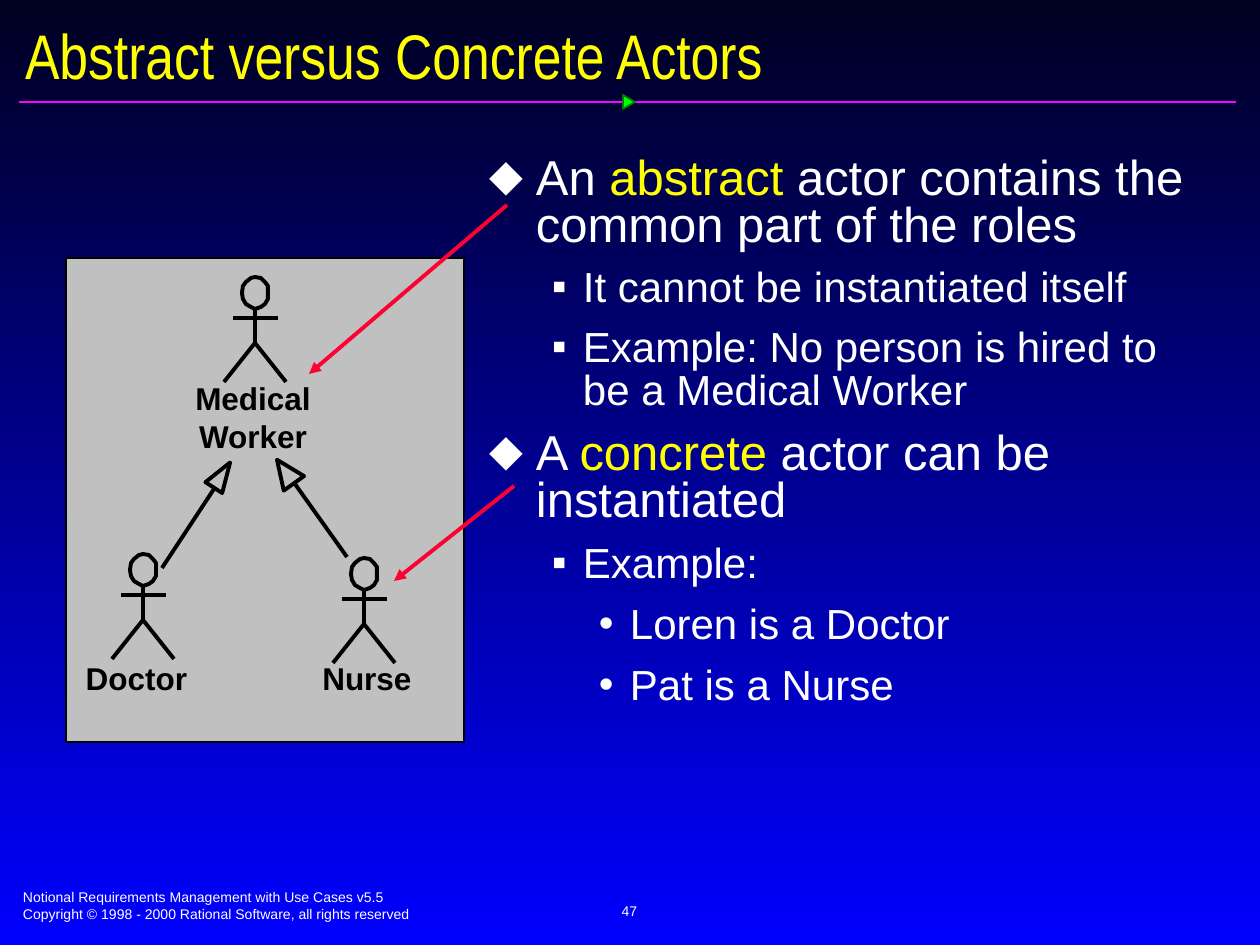
from lxml import etree
from pptx import Presentation
from pptx.dml.color import RGBColor
from pptx.enum.shapes import MSO_CONNECTOR, MSO_SHAPE
from pptx.enum.text import MSO_ANCHOR, MSO_AUTO_SIZE, PP_ALIGN
from pptx.oxml.ns import qn
from pptx.util import Emu, Pt

STRAIGHT = MSO_CONNECTOR.STRAIGHT
RECTANGLE, TRIANGLE = MSO_SHAPE.RECTANGLE, MSO_SHAPE.ISOSCELES_TRIANGLE
LEFT, CENTER = PP_ALIGN.LEFT, PP_ALIGN.CENTER
TOP, MIDDLE = MSO_ANCHOR.TOP, MSO_ANCHOR.MIDDLE

EMU_PER_PX = 914400 / 126
COLORS = {
    "night": "000021", "blue": "0000FF", "white": "FFFFFF", "yellow": "FFFF00",
    "magenta": "FF01FF", "green": "00FF00", "dark green": "037C03",
    "gray": "C0C0C0", "black": "000000", "red": "FF0033",
}

TITLE = "Abstract versus Concrete Actors"
FOOTER = ["Notional Requirements Management with Use Cases v5.5",
          "Copyright © 1998 - 2000 Rational Software, all rights reserved"]
PAGE_NUMBER = ["47"]

# level, runs of (text, color)
BODY = [
    (0, [("An ", "white"), ("abstract", "yellow"),
         (" actor contains the common part of the roles", "white")]),
    (1, [("It cannot be instantiated itself", "white")]),
    (1, [("Example: No person is hired to be a Medical Worker", "white")]),
    (0, [("A ", "white"), ("concrete", "yellow"),
         (" actor can be instantiated", "white")]),
    (1, [("Example:", "white")]),
    (2, [("Loren is a Doctor", "white")]),
    (2, [("Pat is a Nurse", "white")]),
]
# bullet, size, left margin and hanging indent in px, line spacing, space before
LEVELS = [("⬥", 28, 47, 47, 0.8, 10.5),
          ("▪", 24, 94, 31, 0.87, 9),
          ("•", 24, 141, 31, 1.0, 6)]

# label lines, label box, center x and top y of the stick figure
ACTORS = [(["Doctor"], (71, 652, 131, 53), 143, 554),
          (["Nurse"], (280, 652, 174, 53), 364, 558),
          (["Medical", "Worker"], (180, 372, 146, 91), 255, 277)]
HEAD = [(0, 0), (6, 1), (10, 5), (13, 9), (13, 16), (13, 22), (10, 27), (6, 30),
        (0, 32), (-4, 30), (-9, 27), (-12, 22), (-13, 16), (-12, 9), (-9, 5), (-4, 1)]
LEGS = [(-31, 105), (0, 66), (31, 105)]
LIMBS = [(-22, 41, 23, 41), (0, 33, 0, 66)]

# line, arrowhead box, arrowhead rotation
GENERALIZATIONS = [((295, 484, 347, 557), (273, 457, 25, 29), 324.4),
                   ((214, 489, 162, 568), (212, 460, 20, 30), 33)]
POINTERS = [(507, 205, 309, 374), (514, 486, 394, 581)]


def px(value):
    return Emu(round(value * EMU_PER_PX))


def color(name):
    return RGBColor.from_string(COLORS[name])


def place(shape, box):
    shape.left, shape.top, shape.width, shape.height = map(px, box)


def add_line(shapes, ends, line_color, width):
    line = shapes.add_connector(STRAIGHT, *map(px, ends))
    line.line.color.rgb = color(line_color)
    line.line.width = Pt(width)
    etree.SubElement(line._element.spPr, qn("a:effectLst"))
    return line


def style(shape, fill, line_color, width):
    shape.shadow.inherit = False
    if fill:
        shape.fill.solid()
        shape.fill.fore_color.rgb = color(fill)
    else:
        shape.fill.background()
    shape.line.color.rgb = color(line_color)
    shape.line.width = Pt(width)


def add_preset(shapes, preset, box, fill, line_color, width, rotation=0):
    shape = shapes.add_shape(preset, *map(px, box))
    shape.rotation = rotation
    style(shape, fill, line_color, width)


def add_outline(shapes, points, x, y, close):
    points = [(x + dx, y + dy) for dx, dy in points]
    builder = shapes.build_freeform(*points[0], scale=EMU_PER_PX)
    builder.add_line_segments(points[1:], close=close)
    style(builder.convert_to_shape(), None, "black", 2.25)


def set_frame(frame, margin, anchor, wrap=True):
    frame.margin_left = frame.margin_right = px(margin)
    frame.margin_top = frame.margin_bottom = px(margin / 2)
    frame.vertical_anchor = anchor
    frame.word_wrap = wrap
    frame.auto_size = MSO_AUTO_SIZE.NONE


def set_font(font, name, size, font_color, bold=False):
    font.name, font.size, font.bold = name, Pt(size), bold
    font.color.rgb = color(font_color)


def add_text(shapes, box, lines, size, font_color, margin,
             align=LEFT, anchor=TOP, wrap=True, bold=False):
    frame = shapes.add_textbox(*map(px, box)).text_frame
    set_frame(frame, margin, anchor, wrap)
    frame.text = "\n".join(lines)
    for paragraph in frame.paragraphs:
        paragraph.alignment = align
        set_font(paragraph.font, "Arial", size, font_color, bold)


def set_bullet(paragraph, character, margin, indent):
    properties = paragraph._p.get_or_add_pPr()
    properties.set("marL", str(px(margin)))
    properties.set("indent", str(-px(indent)))
    bullet_color = etree.SubElement(properties, qn("a:buClr"))
    etree.SubElement(bullet_color, qn("a:srgbClr"), val=COLORS["white"])
    etree.SubElement(properties, qn("a:buFont"), typeface="Arial")
    etree.SubElement(properties, qn("a:buChar"), char=character)


def fill_body(frame):
    for index, (level, runs) in enumerate(BODY):
        bullet, size, margin, indent, spacing, before = LEVELS[level]
        paragraph = frame.add_paragraph() if index else frame.paragraphs[0]
        paragraph.level = level
        set_bullet(paragraph, bullet, margin, indent)
        paragraph.line_spacing = spacing
        paragraph.space_before = Pt(before if index else 0)
        set_font(paragraph.font, "Arial", size, "white")
        for text, run_color in runs:
            run = paragraph.add_run()
            run.text = text
            run.font.color.rgb = color(run_color)


def add_diagram(slide):
    shapes = slide.shapes.add_group_shape().shapes
    add_preset(shapes, RECTANGLE, (66, 258, 398, 484), "gray", "black", 0.75)
    for lines, box, x, y in ACTORS:
        add_text(shapes, box, lines, 18, "black", 15, CENTER, wrap=False, bold=True)
        add_outline(shapes, HEAD, x, y, close=True)
        add_outline(shapes, LEGS, x, y, close=False)
        for x1, y1, x2, y2 in LIMBS:
            add_line(shapes, (x + x1, y + y1, x + x2, y + y2), "black", 2.25)
    for ends, box, rotation in GENERALIZATIONS:
        add_line(shapes, ends, "black", 2.25)
        add_preset(shapes, TRIANGLE, box, None, "black", 2.25, rotation)


def main():
    presentation = Presentation()
    presentation.slide_width, presentation.slide_height = px(1260), px(945)
    slide = presentation.slides.add_slide(presentation.slide_layouts[1])
    shapes = slide.shapes

    background = slide.background.fill
    background.gradient()
    background.gradient_angle = 270
    for stop, position, name in zip(background.gradient_stops, (0, 1), ("night", "blue")):
        stop.position = position
        stop.color.rgb = color(name)

    add_text(shapes, (10, 882, 643, 47), FOOTER, 8, "white", 13)
    add_text(shapes, (430, 879, 399, 63), PAGE_NUMBER, 8, "white", 13, CENTER, MIDDLE)
    add_line(shapes, (19, 102, 1236, 102), "magenta", 1)
    add_preset(shapes, TRIANGLE, (622, 96, 14, 12), "green", "dark green", 1, 90)

    title, body = shapes.title, slide.placeholders[1]
    place(title, (12, 18, 1240, 73))
    set_frame(title.text_frame, 13, MIDDLE)
    title.text_frame.text = TITLE
    heading = title.text_frame.paragraphs[0]
    heading.alignment = LEFT
    set_font(heading.font, "Arial Narrow", 36, "yellow")

    place(body, (474, 150, 755, 696))
    set_frame(body.text_frame, 15, TOP)
    fill_body(body.text_frame)

    add_diagram(slide)
    for ends in POINTERS:
        pointer = add_line(shapes, ends, "red", 2.25)
        etree.SubElement(pointer.line._get_or_add_ln(), qn("a:tailEnd"), type="triangle")

    presentation.save("out.pptx")


if __name__ == "__main__":
    main()
